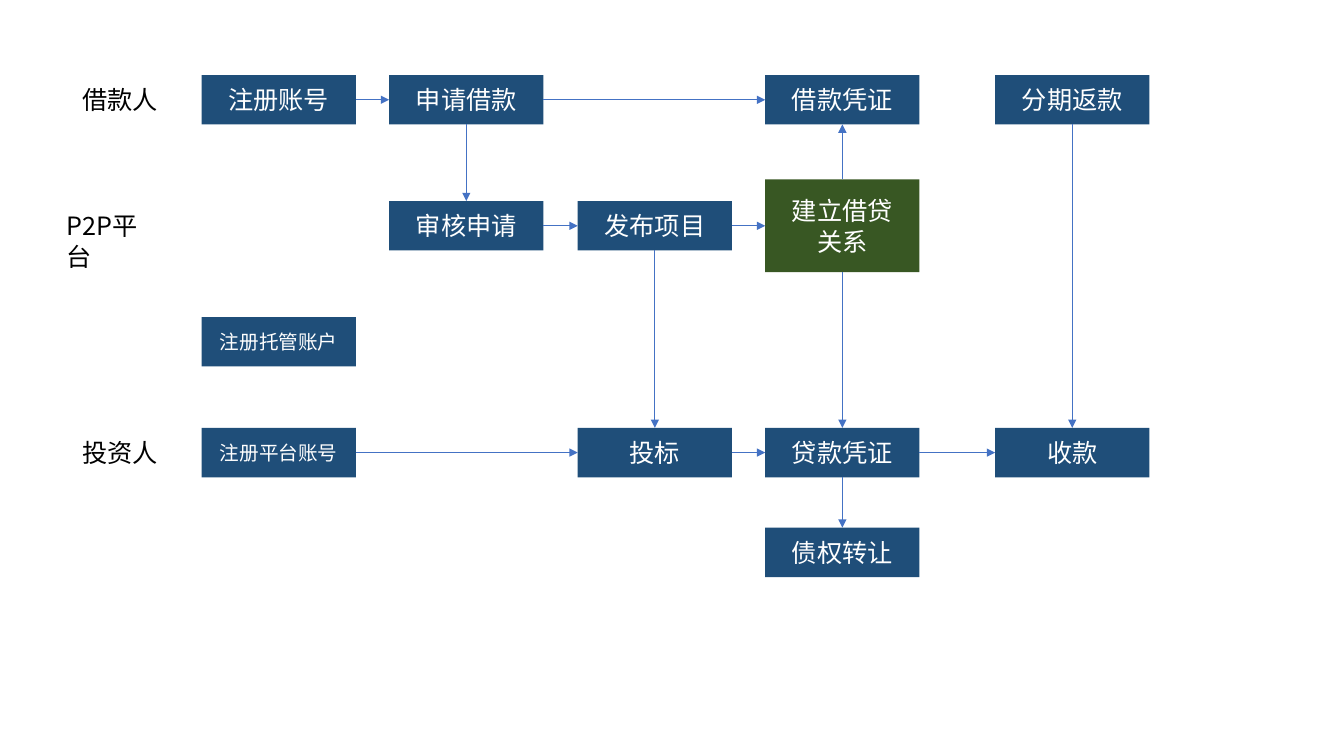
from lxml import etree
from pptx import Presentation
from pptx.dml.color import RGBColor
from pptx.enum.shapes import MSO_CONNECTOR, MSO_SHAPE
from pptx.enum.text import MSO_ANCHOR, PP_ALIGN
from pptx.oxml.ns import qn
from pptx.util import Inches, Pt

RECTANGLE = MSO_SHAPE.RECTANGLE
STRAIGHT = MSO_CONNECTOR.STRAIGHT
CENTER, LEFT = PP_ALIGN.CENTER, PP_ALIGN.LEFT
MIDDLE, TOP = MSO_ANCHOR.MIDDLE, MSO_ANCHOR.TOP
SITES = {"top": 0, "left": 1, "bottom": 2, "right": 3}

BOXES = [
    ("注册账号", 0, 0),
    ("申请借款", 1, 0),
    ("借款凭证", 3, 0),
    ("分期返款", 4, 0),
    ("审核申请", 1, 1),
    ("发布项目", 2, 1),
    ("注册托管账户", 0, 2),
    ("注册平台账号", 0, 3),
    ("投标", 2, 3),
    ("贷款凭证", 3, 3),
    ("收款", 4, 3),
    ("债权转让", 3, 4),
]
RELATION = "建立借贷\n关系"
ARROWS = [
    ("注册账号", "right", "申请借款", "left"),
    ("申请借款", "right", "借款凭证", "left"),
    ("申请借款", "bottom", "审核申请", "top"),
    ("审核申请", "right", "发布项目", "left"),
    ("发布项目", "right", RELATION, "left"),
    ("发布项目", "bottom", "投标", "top"),
    (RELATION, "top", "借款凭证", "bottom"),
    (RELATION, "bottom", "贷款凭证", "top"),
    ("注册平台账号", "right", "投标", "left"),
    ("投标", "right", "贷款凭证", "left"),
    ("贷款凭证", "right", "收款", "left"),
    ("贷款凭证", "bottom", "债权转让", "top"),
    ("分期返款", "bottom", "收款", "top"),
]
ROLES = [("借款人", 0, 0.96), ("P2P平台", 1, 1.12), ("投资人", 3, 0.96)]


def color(hex_code):
    return RGBColor.from_string(hex_code)


class FlowSlide:
    """Draws boxes, arrows and role labels on a grid of columns and rows."""

    font = "Noto Sans CJK SC"
    blue, green, arrow_blue = "1F4E79", "385723", "4472C4"
    column_lefts = [2, 3.86, 5.73, 7.59, 9.87]
    row_centers = [0.99, 2.24, 3.39, 4.49, 5.48]
    box_width, box_height = 1.53, 0.49
    label_right, label_height = 1.68, 0.4

    def __init__(self, presentation):
        self.slide = presentation.slides.add_slide(presentation.slide_layouts[6])
        self.boxes = {}

    def set_text(self, shape, text, size, hex_code, alignment, anchor):
        frame = shape.text_frame
        frame.text = text
        frame.word_wrap = True
        frame.vertical_anchor = anchor
        for paragraph in frame.paragraphs:
            paragraph.alignment = alignment
            for run in paragraph.runs:
                run.font.size = Pt(size)
                run.font.name = self.font
                run.font.color.rgb = color(hex_code)
                east_asian = etree.SubElement(run.font._element, qn("a:ea"))
                east_asian.set("typeface", self.font)

    def box(self, text, column, row, fill=blue, height=box_height):
        shape = self.slide.shapes.add_shape(
            RECTANGLE,
            Inches(self.column_lefts[column]),
            Inches(self.row_centers[row] - height / 2),
            Inches(self.box_width),
            Inches(height),
        )
        shape.shadow.inherit = False
        shape.fill.solid()
        shape.fill.fore_color.rgb = color(fill)
        shape.line.fill.background()
        size = 14 if len(text) == 6 else 18
        self.set_text(shape, text, size, "FFFFFF", CENTER, MIDDLE)
        self.boxes[text] = shape

    def arrow(self, start, start_side, end, end_side):
        connector = self.slide.shapes.add_connector(STRAIGHT, 0, 0, 0, 0)
        connector.begin_connect(self.boxes[start], SITES[start_side])
        connector.end_connect(self.boxes[end], SITES[end_side])
        connector.line.color.rgb = color(self.arrow_blue)
        connector.line.width = Pt(0.5)
        properties = connector._element.spPr
        head = etree.SubElement(properties.find(qn("a:ln")), qn("a:tailEnd"))
        head.set("type", "triangle")
        etree.SubElement(properties, qn("a:effectLst"))

    def role(self, text, row, width):
        label = self.slide.shapes.add_textbox(
            Inches(self.label_right - width),
            Inches(self.row_centers[row] - self.label_height / 2),
            Inches(width),
            Inches(self.label_height),
        )
        self.set_text(label, text, 18, "000000", LEFT, TOP)


def main():
    presentation = Presentation()
    presentation.slide_width = Inches(13.33)
    presentation.slide_height = Inches(7.5)
    flow = FlowSlide(presentation)
    for box in BOXES:
        flow.box(*box)
    flow.box(RELATION, 3, 1, flow.green, 0.92)
    for arrow in ARROWS:
        flow.arrow(*arrow)
    for role in ROLES:
        flow.role(*role)
    presentation.save("out.pptx")


if __name__ == "__main__":
    main()
